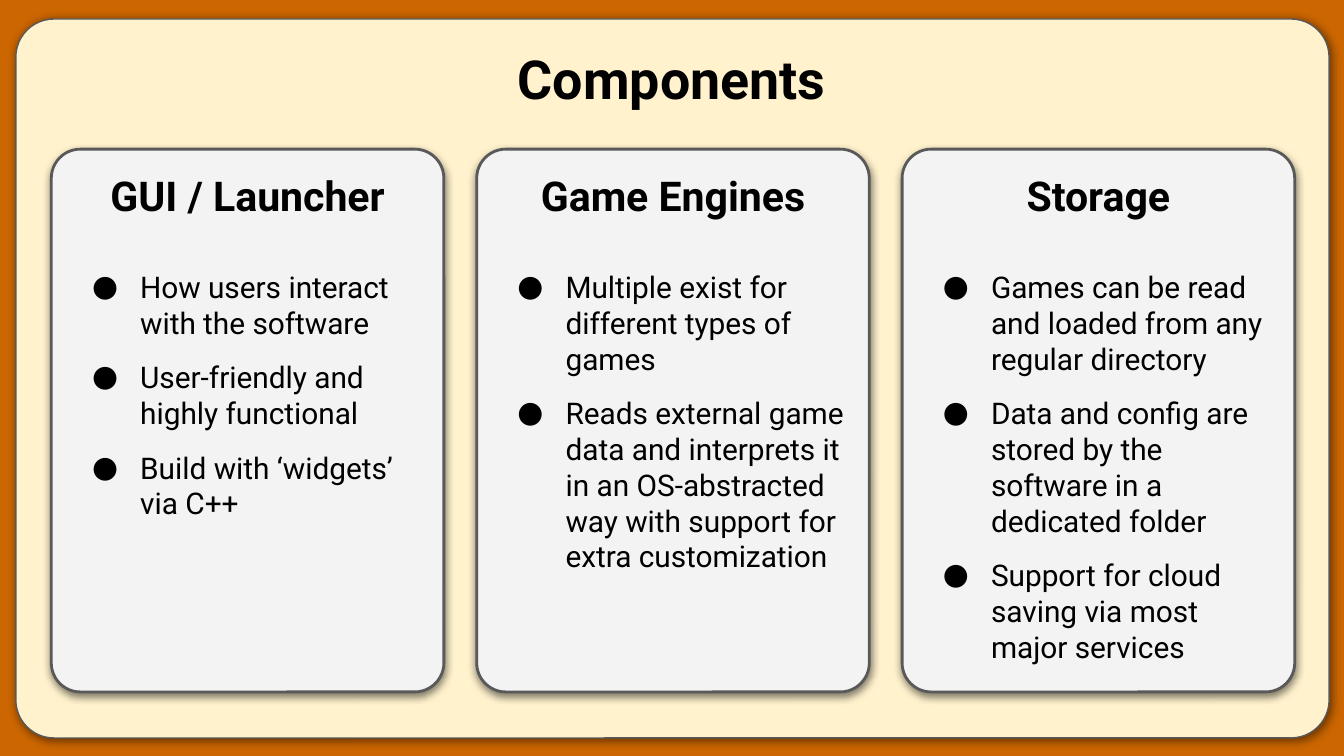
from lxml import etree
from pptx import Presentation
from pptx.dml.color import RGBColor
from pptx.enum.shapes import MSO_SHAPE
from pptx.enum.text import MSO_ANCHOR, MSO_AUTO_SIZE, PP_ALIGN
from pptx.oxml import parse_xml
from pptx.oxml.ns import nsdecls, qn
from pptx.util import Cm, Pt

ROUNDED = MSO_SHAPE.ROUNDED_RECTANGLE
TOP = MSO_ANCHOR.TOP
NO_AUTOFIT = MSO_AUTO_SIZE.NONE
CENTER, LEFT = PP_ALIGN.CENTER, PP_ALIGN.LEFT

FONT = "Roboto"
COLORS = {
    "background": "CC6600",
    "panel": "FFF2CD",
    "card": "F3F3F3",
    "outline": "595959",
    "text": "000000",
}
COMPONENTS = {
    "GUI / Launcher": [
        "How users interact with the software",
        "User-friendly and highly functional",
        "Build with ‘widgets’ via C++",
    ],
    "Game Engines": [
        "Multiple exist for different types of games",
        "Reads external game data and interprets it in an OS-abstracted way "
        "with support for extra customization",
    ],
    "Storage": [
        "Games can be read and loaded from any regular directory",
        "Data and config are stored by the software in a dedicated folder",
        "Support for cloud saving via most major services",
    ],
}


def add_rounded_box(left, top, width, height, corner, fill, line_width, shadow_angle):
    box = slide.shapes.add_shape(ROUNDED, Cm(left), Cm(top), Cm(width), Cm(height))
    box.adjustments[0] = corner
    box.fill.solid()
    box.fill.fore_color.rgb = RGBColor.from_string(COLORS[fill])
    box.line.color.rgb = RGBColor.from_string(COLORS["outline"])
    box.line.width = Pt(line_width)
    box.shadow.inherit = False
    effects = box._element.spPr.find(qn("a:effectLst"))
    effects.append(parse_xml(
        f'<a:outerShdw {nsdecls("a")} blurRad="{Pt(4.5)}" dist="{Pt(1.5)}" '
        f'dir="{shadow_angle * 60000}" algn="bl" rotWithShape="0">'
        f'<a:srgbClr val="{COLORS["text"]}"><a:alpha val="50000"/></a:srgbClr>'
        '</a:outerShdw>'))
    return box


def style_paragraph(paragraph, size, bold, alignment):
    paragraph.alignment = alignment
    paragraph.font.name = FONT
    paragraph.font.size = Pt(size)
    paragraph.font.bold = bold
    paragraph.font.color.rgb = RGBColor.from_string(COLORS["text"])


prs = Presentation()
prs.slide_width, prs.slide_height = Cm(25.4), Cm(14.29)
slide = prs.slides.add_slide(prs.slide_layouts[5])
slide.background.fill.solid()
slide.background.fill.fore_color.rgb = RGBColor.from_string(COLORS["background"])

panel = add_rounded_box(0.3, 0.36, 24.82, 13.59, 0.053, "panel", 0.75, 46)

title = slide.shapes.title
panel._element.addnext(title._element)
title.left, title.top, title.width, title.height = Cm(0.86), Cm(0.61), Cm(23.67), Cm(1.6)
title.text_frame.text = "Components"
title.text_frame.vertical_anchor = TOP
title.text_frame.auto_size = NO_AUTOFIT
title.text_frame.margin_top = title.text_frame.margin_bottom = Cm(0.25)
style_paragraph(title.text_frame.paragraphs[0], 28.8, True, CENTER)

for column, (heading, points) in enumerate(COMPONENTS.items()):
    card = add_rounded_box(0.97 + column * 8.04, 2.82, 7.42, 10.26, 0.074, "card", 1.5, 90)
    frame = card.text_frame
    frame.word_wrap = True
    frame.vertical_anchor = TOP
    frame.margin_left = frame.margin_right = Cm(0.25)
    frame.margin_top = frame.margin_bottom = Cm(0.25)
    frame.text = heading
    style_paragraph(frame.paragraphs[0], 22, True, CENTER)

    for index, point in enumerate(points):
        bullet = frame.add_paragraph()
        bullet.text = point
        bullet.space_before = Pt(10 if index else 26)
        properties = bullet._p.get_or_add_pPr()
        properties.set("marL", str(Cm(1.27)))
        properties.set("indent", str(Cm(-0.91)))
        bullet_color = etree.SubElement(properties, qn("a:buClr"))
        etree.SubElement(bullet_color, qn("a:srgbClr"), val=COLORS["text"])
        etree.SubElement(properties, qn("a:buFont"), typeface=FONT)
        etree.SubElement(properties, qn("a:buChar"), char="●")
        style_paragraph(bullet, 16, False, LEFT)

prs.save("out.pptx")
